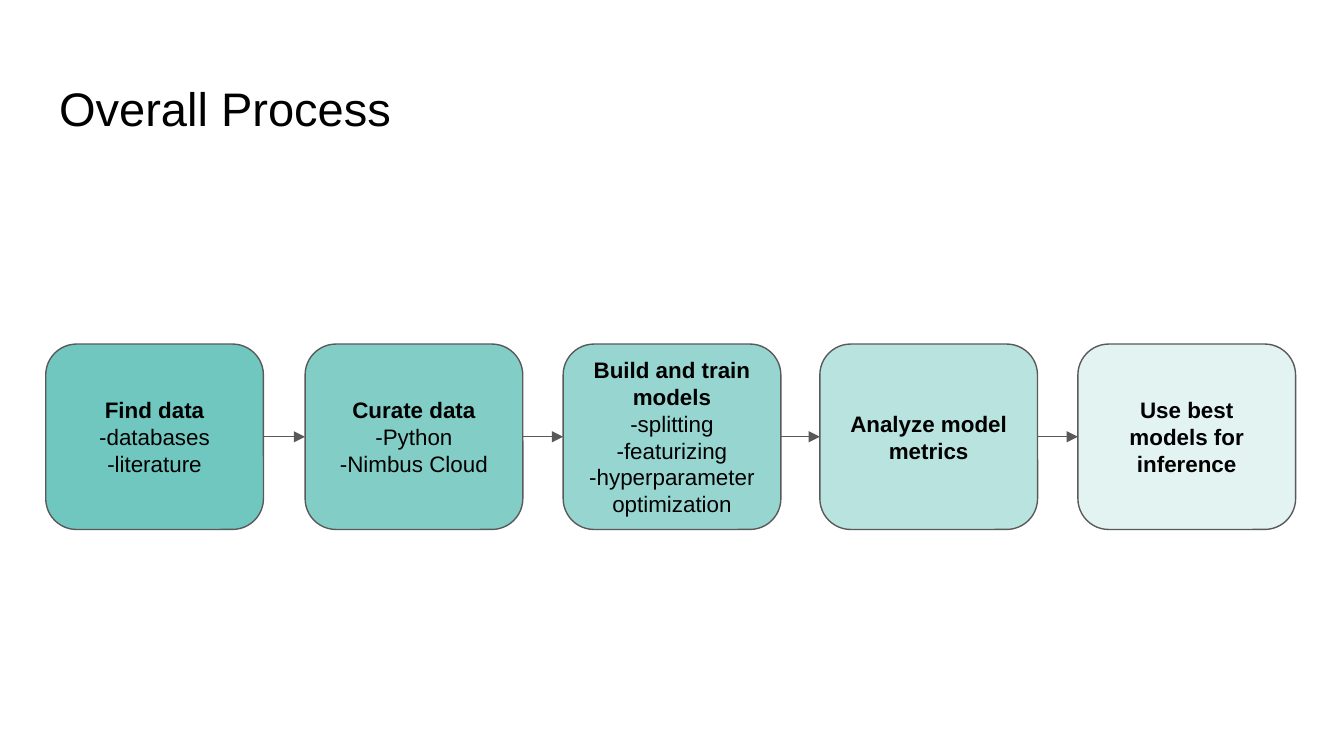
from dataclasses import dataclass
from itertools import pairwise

from lxml.etree import SubElement
from pptx import Presentation
from pptx.dml.color import RGBColor
from pptx.enum.shapes import MSO_CONNECTOR as Connector, MSO_SHAPE as Shape
from pptx.enum.text import MSO_ANCHOR as Anchor, MSO_AUTO_SIZE as AutoSize, PP_ALIGN as Align
from pptx.oxml.ns import qn
from pptx.shapes.autoshape import Shape as Box
from pptx.slide import Slide
from pptx.text.text import TextFrame
from pptx.util import Inches, Pt

TEAL = RGBColor(0x70, 0xC7, 0xBF)
GRAY = RGBColor(0x59, 0x59, 0x59)
BLACK = RGBColor(0, 0, 0)

PAGE_WIDTH = 10
PAGE_HEIGHT = PAGE_WIDTH * 9 / 16
TOP, WIDTH, HEIGHT = 2.56, 1.62, 1.38
LEFT_SITE, RIGHT_SITE = 1, 3
FRAME_FORMAT = {
    "margin_left": Inches(0.1),
    "margin_top": Inches(0.1),
    "margin_right": Inches(0.1),
    "margin_bottom": Inches(0.1),
    "word_wrap": True,
    "auto_size": AutoSize.NONE,
}


@dataclass
class Step:
    left: float
    opacity: int
    heading: str
    details: tuple[str, ...] = ()


STEPS = [
    Step(0.34, 100, "Find data", ("-databases", "-literature")),
    Step(2.27, 87, "Curate data", ("-Python", "-Nimbus Cloud")),
    Step(4.19, 72, "Build and train models",
         ("-splitting", "-featurizing", "-hyperparameter optimization")),
    Step(6.1, 49, "Analyze model metrics"),
    Step(8.02, 20, "Use best models for inference"),
]


def apply_format(target: object, values: dict) -> None:
    for name, value in values.items():
        setattr(target, name, value)


def write_lines(frame: TextFrame, lines: list[str], size: float,
                align: Align, anchor: Anchor, bold_first: bool) -> None:
    apply_format(frame, FRAME_FORMAT | {"vertical_anchor": anchor})
    for index, line in enumerate(lines):
        para = frame.add_paragraph() if index else frame.paragraphs[0]
        para.alignment = align
        span = para.add_run()
        span.text = line
        apply_format(span.font, {"name": "Arial", "size": Pt(size),
                                 "bold": bold_first and index == 0})
        span.font.color.rgb = BLACK


def add_title(page: Slide, text: str) -> None:
    title = page.shapes.title
    apply_format(title, {"left": Inches(0.34), "top": Inches(0.49),
                         "width": Inches(9.32), "height": Inches(0.63)})
    write_lines(title.text_frame, [text], 25.2, Align.LEFT, Anchor.TOP, False)


def add_step(page: Slide, step: Step) -> Box:
    box = page.shapes.add_shape(Shape.ROUNDED_RECTANGLE, Inches(step.left),
                                Inches(TOP), Inches(WIDTH), Inches(HEIGHT))
    box.shadow.inherit = False
    box.fill.solid()
    box.fill.fore_color.rgb = TEAL
    if step.opacity < 100:
        color = box.fill._xPr.find(qn("a:solidFill"))[0]
        SubElement(color, qn("a:alpha"), val=str(step.opacity * 1000))
    box.line.color.rgb = GRAY
    box.line.width = Pt(0.75)
    write_lines(box.text_frame, [step.heading, *step.details], 12,
                Align.CENTER, Anchor.MIDDLE, True)
    return box


def add_arrow(page: Slide, start: Box, end: Box) -> None:
    arrow = page.shapes.add_connector(Connector.STRAIGHT, 0, 0, 0, 0)
    arrow.begin_connect(start, RIGHT_SITE)
    arrow.end_connect(end, LEFT_SITE)
    arrow.line.color.rgb = GRAY
    arrow.line.width = Pt(0.75)
    SubElement(arrow.line._get_or_add_ln(), qn("a:tailEnd"), type="triangle")
    SubElement(arrow._element.spPr, qn("a:effectLst"))


def main() -> None:
    deck = Presentation()
    apply_format(deck, {"slide_width": Inches(PAGE_WIDTH),
                        "slide_height": Inches(PAGE_HEIGHT)})
    page = deck.slides.add_slide(deck.slide_layouts[5])
    add_title(page, "Overall Process")
    boxes = [add_step(page, step) for step in STEPS]
    for start, end in pairwise(boxes):
        add_arrow(page, start, end)
    deck.save("out.pptx")


if __name__ == "__main__":
    main()
